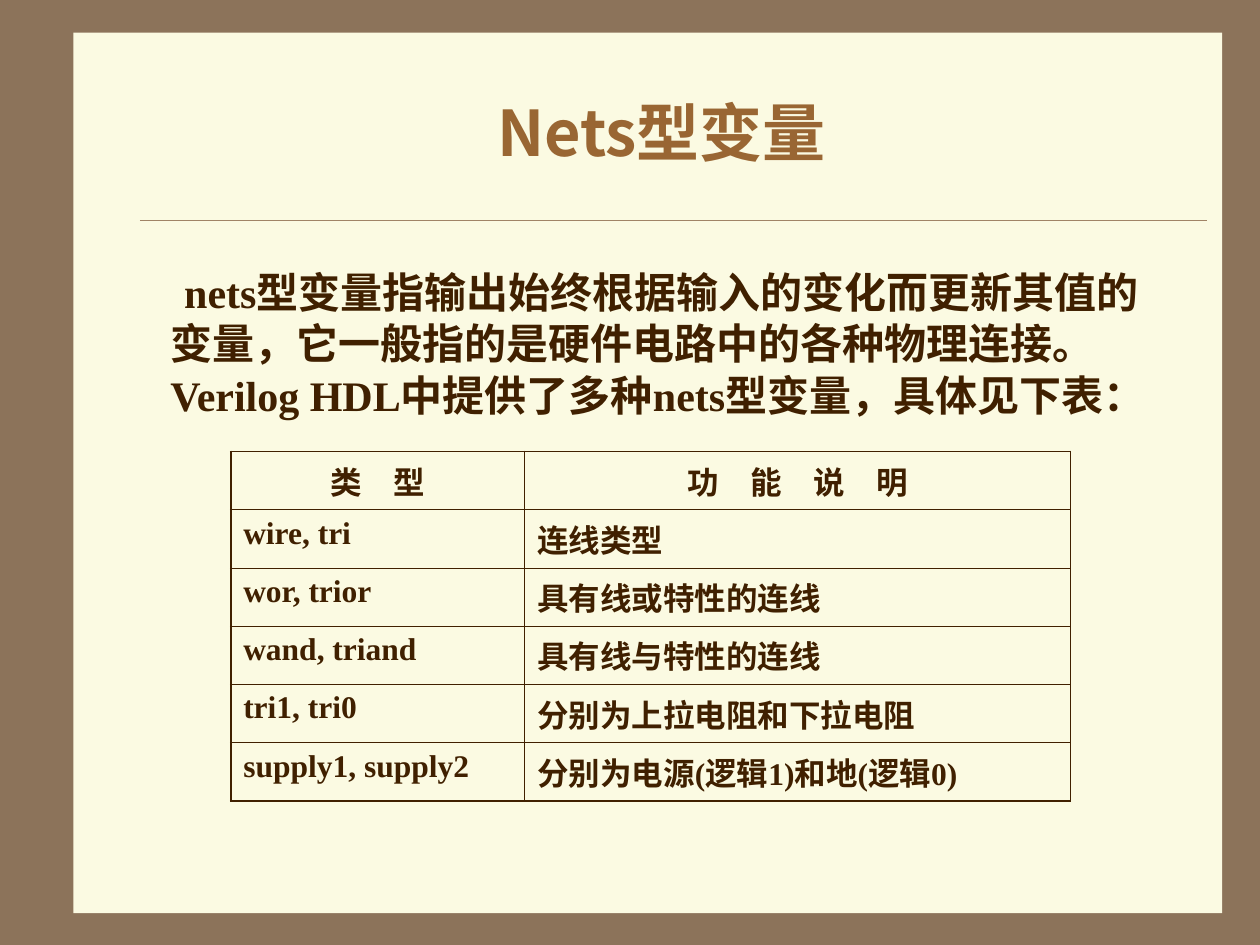
from dataclasses import dataclass

import pptx
import pptx.dml.color
import pptx.enum.shapes
import pptx.enum.text
import pptx.oxml.ns
import pptx.util
from lxml import etree

Cm = pptx.util.Cm
Pt = pptx.util.Pt
RGB = pptx.dml.color.RGBColor.from_string
ALIGN = pptx.enum.text.PP_ALIGN
qn = pptx.oxml.ns.qn


@dataclass(frozen=True)
class Theme:
    frame: str = "8C735A"
    paper: str = "FBFAE2"
    rule: str = "A08366"
    title: str = "996633"
    ink: str = "402000"
    latin: str = "Times New Roman"
    chinese: str = "Noto Sans CJK SC"
    title_size: int = 36
    body_size: int = 24
    table_size: int = 18
    outer_border: float = 1.08
    inner_border: float = 0.45


theme = Theme()


def style_paragraph(paragraph, size, color, latin, alignment):
    paragraph.alignment = alignment
    paragraph.space_before = Pt(0)
    for span in paragraph.runs:
        span.font.size = Pt(size)
        span.font.bold = True
        span.font.name = latin
        span.font.color.rgb = RGB(color)
        east_asian = etree.SubElement(span.font._element, qn("a:ea"))
        east_asian.set("typeface", theme.chinese)


def add_border(cell, side, width):
    """Draw one cell edge; call in the order L, R, T, B and before the fill."""
    line = etree.SubElement(cell._tc.get_or_add_tcPr(), qn(f"a:ln{side}"), w=str(Pt(width)))
    fill = etree.SubElement(line, qn("a:solidFill"))
    etree.SubElement(fill, qn("a:srgbClr"), val=theme.ink)


deck = pptx.Presentation()
deck.slide_width, deck.slide_height = Cm(25.4), Cm(19.05)
page = deck.slides.add_slide(deck.slide_layouts[1])
page.background.fill.solid()
page.background.fill.fore_color.rgb = RGB(theme.frame)

# Paper panel and rule, behind the placeholders
panel = page.shapes.add_shape(
    pptx.enum.shapes.MSO_SHAPE.RECTANGLE, Cm(1.48), Cm(0.66), Cm(23.16), Cm(17.75))
panel.shadow.inherit = False
panel.fill.solid()
panel.fill.fore_color.rgb = RGB(theme.paper)
panel.line.fill.background()

rule = page.shapes.add_connector(
    pptx.enum.shapes.MSO_CONNECTOR.STRAIGHT, Cm(2.82), Cm(4.44), Cm(24.33), Cm(4.44))
rule.line.color.rgb = RGB(theme.rule)
rule.line.width = Pt(0.25)
etree.SubElement(rule._element.spPr, qn("a:effectLst"))

for position, shape in enumerate((panel, rule), start=2):
    page.shapes.element.insert(position, shape._element)

# Title and body
title = page.shapes.title
body = page.placeholders[1]
title.left, title.top, title.width, title.height = Cm(2.54), Cm(1.47), Cm(21.59), Cm(2.34)
body.left, body.top, body.width, body.height = Cm(3.18), Cm(4.88), Cm(20.95), Cm(12.7)
for box in (title, body):
    box.fill.solid()
    box.fill.fore_color.rgb = RGB(theme.paper)
    box.text_frame.auto_size = pptx.enum.text.MSO_AUTO_SIZE.NONE

title.text_frame.text = "Nets型变量"
title.text_frame.vertical_anchor = pptx.enum.text.MSO_ANCHOR.MIDDLE
style_paragraph(title.text_frame.paragraphs[0], theme.title_size, theme.title,
                theme.chinese, ALIGN.CENTER)

body.text_frame.text = "\n".join((
    "nets型变量指输出始终根据输入的变化而更新其值的",
    "变量，它一般指的是硬件电路中的各种物理连接。",
    "Verilog HDL中提供了多种nets型变量，具体见下表：",
))
body.text_frame.margin_top = Cm(0.47)
for number, paragraph in enumerate(body.text_frame.paragraphs):
    properties = paragraph._p.get_or_add_pPr()
    properties.set("marL", "0")
    properties.set("indent", str(Cm(0.28) if number == 0 else 0))
    etree.SubElement(properties, qn("a:buNone"))
    style_paragraph(paragraph, theme.body_size, theme.ink, theme.latin, ALIGN.JUSTIFY)
    paragraph.line_spacing = Pt(29.4)

# Table of net types
rows = (
    ("类　型", "功　能　说　明"),
    ("wire, tri", "连线类型"),
    ("wor, trior", "具有线或特性的连线"),
    ("wand, triand", "具有线与特性的连线"),
    ("tri1, tri0", "分别为上拉电阻和下拉电阻"),
    ("supply1, supply2", "分别为电源(逻辑1)和地(逻辑0)"),
)
column_widths = (Cm(5.93), Cm(11))
row_height = Cm(1.02)
table = page.shapes.add_table(
    len(rows), len(column_widths), Cm(4.65), Cm(9.1),
    sum(column_widths), row_height * len(rows)).table
table.first_row = False
table.horz_banding = False
for column, width in zip(table.columns, column_widths):
    column.width = width

for row_index, texts in enumerate(rows):
    table.rows[row_index].height = row_height
    for column_index, text in enumerate(texts):
        cell = table.cell(row_index, column_index)
        cell.text_frame.text = text
        style_paragraph(cell.text_frame.paragraphs[0], theme.table_size, theme.ink,
                        theme.latin, ALIGN.CENTER if row_index == 0 else ALIGN.LEFT)
        outer_sides = {
            "L": column_index == 0,
            "R": column_index == len(texts) - 1,
            "T": row_index == 0,
            "B": row_index == len(rows) - 1,
        }
        for side, is_outer in outer_sides.items():
            add_border(cell, side, theme.outer_border if is_outer else theme.inner_border)
        cell.fill.background()

deck.save("out.pptx")
